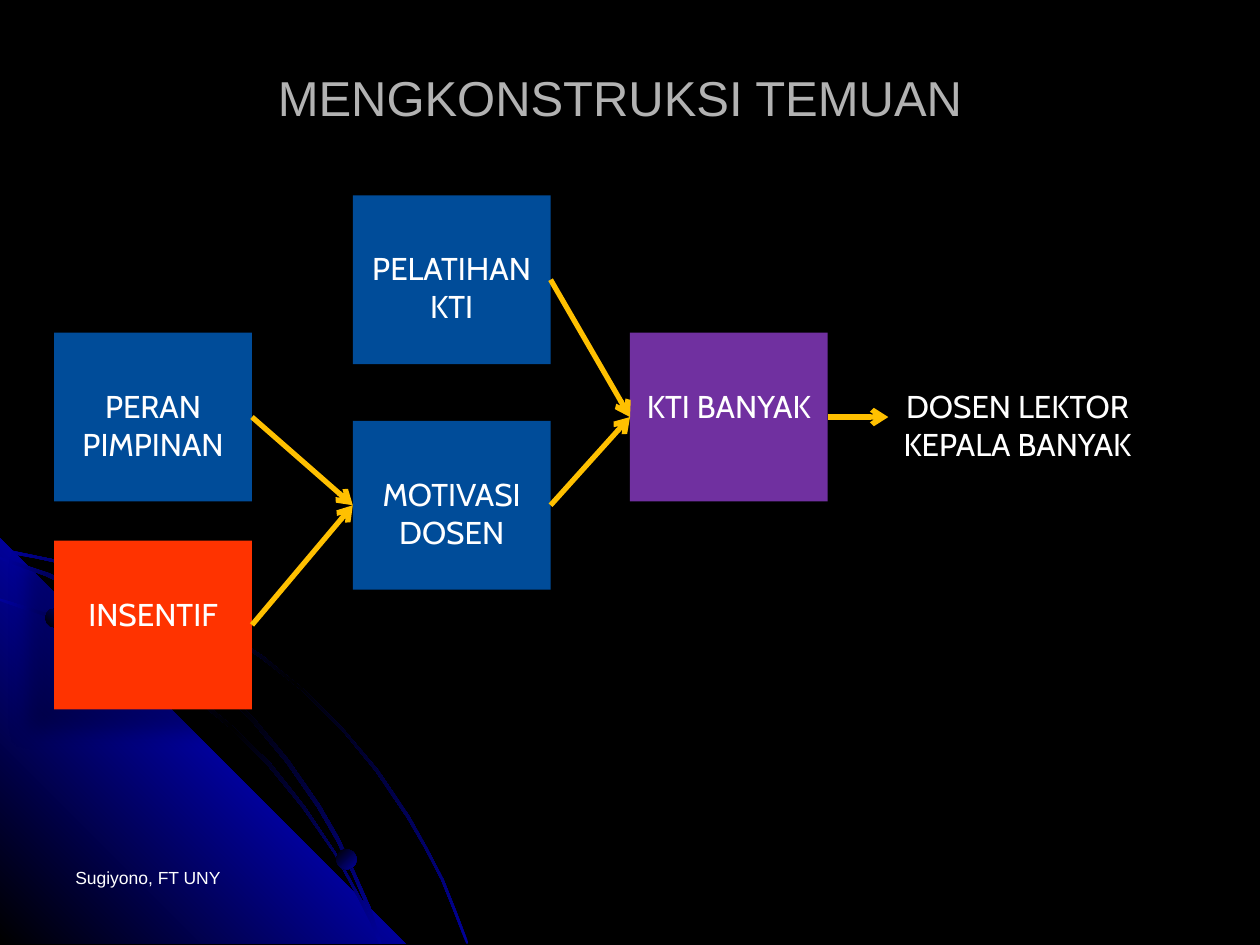
from dataclasses import dataclass

from lxml import etree
from pptx import Presentation
from pptx.dml.color import RGBColor
from pptx.enum.shapes import MSO_CONNECTOR, MSO_SHAPE
from pptx.enum.text import MSO_ANCHOR, PP_ALIGN
from pptx.oxml.ns import qn
from pptx.util import Inches, Pt

RECTANGLE = MSO_SHAPE.RECTANGLE
OVAL = MSO_SHAPE.OVAL
STRAIGHT = MSO_CONNECTOR.STRAIGHT
TOP, MIDDLE = MSO_ANCHOR.TOP, MSO_ANCHOR.MIDDLE
LEFT, CENTER = PP_ALIGN.LEFT, PP_ALIGN.CENTER


@dataclass(frozen=True)
class Theme:
    black: str = "000000"
    white: str = "FFFFFF"
    title: str = "B2B2B2"
    glow: str = "010199"
    blue: str = "004C99"
    red: str = "FF3300"
    purple: str = "7030A0"
    arrow: str = "FFC000"
    title_size: int = 28
    box_size: int = 18
    footer_size: int = 10
    plain_font: str = "Arial"
    box_font: str = "Cabin"


theme = Theme()


def write_text(shape, text, font, size, color, align, anchor=TOP):
    frame = shape.text_frame
    frame.word_wrap = True
    frame.vertical_anchor = anchor
    paragraph = frame.paragraphs[0]
    paragraph.alignment = align
    run = paragraph.add_run()
    run.text = text
    run.font.name = font
    run.font.size = Pt(size)
    run.font.color.rgb = RGBColor.from_string(color)


def fill_gradient(shape, colors, angle):
    """Spread the colours evenly along a clockwise angle."""
    shape.shadow.inherit = False
    shape.line.fill.background()
    shape.fill.gradient()
    gradient = shape._element.spPr.find(qn("a:gradFill"))
    stops = gradient.find(qn("a:gsLst"))
    for stop in list(stops):
        stops.remove(stop)
    for index, color in enumerate(colors):
        position = 100000 * index // (len(colors) - 1)
        stop = etree.SubElement(stops, qn("a:gs"), pos=str(position))
        etree.SubElement(stop, qn("a:srgbClr"), val=color)
    gradient.find(qn("a:lin")).set("ang", str(angle * 60000))


presentation = Presentation()
presentation.slide_width = Inches(10)
presentation.slide_height = Inches(7.5)
slide = presentation.slides.add_slide(presentation.slide_layouts[6])
shapes = slide.shapes
slide.background.fill.solid()
slide.background.fill.fore_color.rgb = RGBColor.from_string(theme.black)

# Corner decoration: a triangle and three arcs
arc_colors = (theme.glow, theme.black, theme.glow)
corner_colors = (theme.black, theme.glow, theme.black)
outer_arc = [
    (0.57, 4.47), (0.28, 4.41), (0, 4.35), (0, 4.38), (0.28, 4.43), (0.56, 4.49),
    (0.97, 4.61), (1.35, 4.78), (1.73, 4.99), (2.08, 5.23), (2.41, 5.49),
    (2.71, 5.79), (2.98, 6.12), (3.23, 6.49), (3.37, 6.73), (3.5, 6.98),
    (3.6, 7.23), (3.7, 7.49), (3.72, 7.49), (3.62, 7.23), (3.52, 6.98),
    (3.39, 6.73), (3.25, 6.48), (3, 6.11), (2.72, 5.78), (2.42, 5.48),
    (2.09, 5.21), (1.74, 4.97), (1.36, 4.77), (0.98, 4.59),
]
corner = [(3.22, 7.49), (0, 7.49), (0, 4.27)]
inner_arc = [
    (2.85, 7.14), (2.94, 7.32), (3.01, 7.49), (3.03, 7.49), (2.96, 7.3),
    (2.86, 7.12), (2.66, 6.76), (2.42, 6.4), (2.15, 6.06), (1.84, 5.76),
    (1.52, 5.49), (1.17, 5.26), (0.79, 5.05), (0.41, 4.88), (0, 4.75), (0, 4.77),
    (0.39, 4.9), (0.77, 5.07), (1.15, 5.28), (1.5, 5.51), (1.83, 5.78),
    (2.13, 6.08), (2.4, 6.41), (2.65, 6.77),
]
middle_arc = [
    (0, 4.42), (0, 4.44), (0.36, 4.57), (0.74, 4.75), (1.09, 4.94), (1.42, 5.18),
    (1.73, 5.44), (2.02, 5.75), (2.27, 6.05), (2.52, 6.41), (2.67, 6.67),
    (2.8, 6.94), (2.92, 7.22), (3.01, 7.49), (3.03, 7.49), (2.94, 7.2),
    (2.82, 6.93), (2.69, 6.65), (2.54, 6.39), (2.29, 6.03), (2.04, 5.73),
    (1.75, 5.43), (1.44, 5.16), (1.11, 4.93), (0.76, 4.73), (0.39, 4.55),
]
for outline, colors, angle in (
    (outer_arc, arc_colors, 45),
    (corner, corner_colors, 315),
    (inner_arc, arc_colors, 45),
    (middle_arc, arc_colors, 45),
):
    points = [(Inches(x), Inches(y)) for x, y in outline]
    builder = shapes.build_freeform(*points[0])
    builder.add_line_segments(points[1:], close=True)
    fill_gradient(builder.convert_to_shape(), colors, angle)

# Beads on the arcs
for left, top, diameter, angle in ((0.36, 4.83, 0.15, 315), (2.67, 6.74, 0.16, 45)):
    bead = shapes.add_shape(
        OVAL, Inches(left), Inches(top), Inches(diameter), Inches(diameter))
    fill_gradient(bead, (theme.black, theme.glow), angle)

# Title and footer
title = shapes.add_textbox(Inches(0.42), Inches(0.14), Inches(9), Inches(1.25))
write_text(title, "MENGKONSTRUKSI TEMUAN", theme.plain_font, theme.title_size,
           theme.title, CENTER, MIDDLE)
footer = shapes.add_textbox(Inches(0.5), Inches(6.83), Inches(2.33), Inches(0.5))
write_text(footer, "Sugiyono, FT UNY", theme.plain_font, theme.footer_size,
           theme.white, LEFT)

# Factor boxes
box_width, box_height = 1.57, 1.34
boxes = {}
for name, text, left, top, width, color in (
    ("result", "DOSEN LEKTOR KEPALA BANYAK", 7.05, 2.64, 2.05, theme.black),
    ("papers", "KTI BANYAK", 5, 2.64, box_width, theme.purple),
    ("motivation", "MOTIVASI DOSEN", 2.8, 3.34, box_width, theme.blue),
    ("leadership", "PERAN PIMPINAN", 0.43, 2.64, box_width, theme.blue),
    ("incentive", "INSENTIF", 0.43, 4.29, box_width, theme.red),
    ("training", "PELATIHAN KTI", 2.8, 1.55, box_width, theme.blue),
):
    box = shapes.add_shape(
        RECTANGLE, Inches(left), Inches(top), Inches(width), Inches(box_height))
    box.fill.solid()
    box.fill.fore_color.rgb = RGBColor.from_string(color)
    box.line.fill.background()
    box.text_frame.margin_top = Inches(0.43)
    write_text(box, text, theme.box_font, theme.box_size, theme.white, CENTER)
    # Soft shadow towards the lower left
    box.shadow.inherit = False
    effects = box._element.spPr.find(qn("a:effectLst"))
    shadow = etree.SubElement(
        effects, qn("a:outerShdw"), blurRad=str(Pt(11.8)), dist=str(Pt(19.7)),
        dir=str(141 * 60000), rotWithShape="0")
    shade = etree.SubElement(shadow, qn("a:srgbClr"), val=theme.black)
    etree.SubElement(shade, qn("a:alpha"), val="28000")
    boxes[name] = box

# Arrows from the right side of one box to the left side of the next
RIGHT_SITE, LEFT_SITE = 3, 1
for source, target in (
    ("leadership", "motivation"),
    ("incentive", "motivation"),
    ("papers", "result"),
    ("training", "papers"),
    ("motivation", "papers"),
):
    arrow = shapes.add_connector(STRAIGHT, 0, 0, 0, 0)
    arrow.begin_connect(boxes[source], RIGHT_SITE)
    arrow.end_connect(boxes[target], LEFT_SITE)
    arrow.line.color.rgb = RGBColor.from_string(theme.arrow)
    arrow.line.width = Pt(3)
    etree.SubElement(arrow.line._get_or_add_ln(), qn("a:tailEnd"), type="arrow")
    etree.SubElement(arrow._element.spPr, qn("a:effectLst"))

presentation.save("out.pptx")
